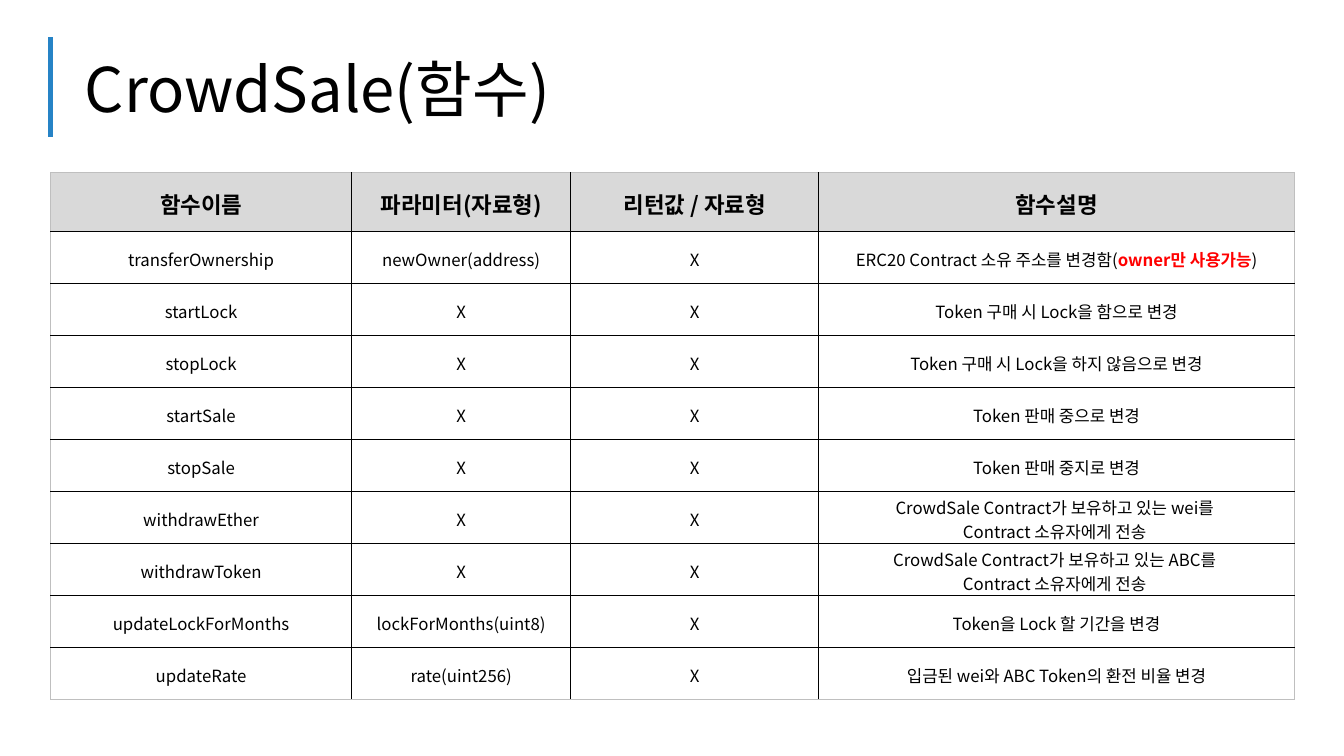
from dataclasses import dataclass

from lxml import etree
from pptx import Presentation
from pptx.dml.color import RGBColor
from pptx.enum import shapes, text
from pptx.oxml import ns
from pptx.util import Inches, Pt


@dataclass(frozen=True)
class Theme:
    """Colours, type sizes and line widths of the slide."""
    font: str = "Noto Sans CJK KR"
    ink: str = "000000"
    alert: str = "FF0000"
    accent: str = "2683C6"
    header: str = "D9D9D9"
    frame: str = "BFBFBF"
    title_size: int = 44
    header_size: int = 16
    body_size: int = 12
    accent_width: int = 3
    grid_width: float = 1
    frame_width: float = 0.5


THEME = Theme()
TITLE = "CrowdSale(함수)"
HEADERS = ["함수이름", "파라미터(자료형)", "리턴값 / 자료형", "함수설명"]
OWNER_ONLY = "owner만 사용가능"
FUNCTIONS = [
    ("transferOwnership", "newOwner(address)",
     [["ERC20 Contract 소유 주소를 변경함(", OWNER_ONLY, ")"]]),
    ("startLock", "X", [["Token 구매 시 Lock을 함으로 변경"]]),
    ("stopLock", "X", [["Token 구매 시 Lock을 하지 않음으로 변경"]]),
    ("startSale", "X", [["Token 판매 중으로 변경"]]),
    ("stopSale", "X", [["Token 판매 중지로 변경"]]),
    ("withdrawEther", "X",
     [["CrowdSale Contract가 보유하고 있는 wei를 "], ["Contract 소유자에게 전송 "]]),
    ("withdrawToken", "X",
     [["CrowdSale Contract가 보유하고 있는 ABC를 "], ["Contract 소유자에게 전송 "]]),
    ("updateLockForMonths", "lockForMonths(uint8)", [["Token을 Lock 할 기간을 변경"]]),
    ("updateRate", "rate(uint256)", [["입금된 wei와 ABC Token의 환전 비율 변경"]]),
]
COLUMN_WIDTHS = [2.99, 2.17, 2.46, 4.72]
HEADER_HEIGHT = 0.59
TABLE_HEIGHT = 5.23


def rgb(value):
    """Return the colour for a hex string."""
    return RGBColor.from_string(value)


def style_run(r, size, color=THEME.ink, bold=False):
    """Format a run in the theme font for Latin and Korean text."""
    r.font.size, r.font.bold = Pt(size), bold
    r.font.color.rgb = rgb(color)
    r.font.name = THEME.font
    latin = r.font._element.find(ns.qn("a:latin"))
    ea = etree.Element(ns.qn("a:ea"), typeface=THEME.font)
    latin.addnext(ea)


def add_accent(s):
    """Draw the vertical accent line beside the title."""
    line = s.shapes.add_connector(shapes.MSO_CONNECTOR.STRAIGHT, Inches(0.5),
                                  Inches(0.37), Inches(0.5), Inches(1.36))
    line.line.color.rgb = rgb(THEME.accent)
    line.line.width = Pt(THEME.accent_width)
    etree.SubElement(line._element.spPr, ns.qn("a:effectLst"))


def set_title(s):
    """Place and format the slide title."""
    sp = s.shapes.title
    sp.left, sp.top = Inches(0.74), Inches(0.45)
    sp.width, sp.height = Inches(8.24), Inches(0.84)
    tf = sp.text_frame
    tf.text = TITLE
    tf.auto_size = text.MSO_AUTO_SIZE.NONE
    tf.vertical_anchor = text.MSO_ANCHOR.MIDDLE
    p = tf.paragraphs[0]
    p.alignment = text.PP_ALIGN.LEFT
    style_run(p.runs[0], THEME.title_size)


def set_borders(cell, outer):
    """Line a cell, with the thin frame on its outer sides."""
    tcPr = cell._tc.get_or_add_tcPr()
    for i, side in enumerate(("lnL", "lnR", "lnT", "lnB")):
        color, width = ((THEME.frame, THEME.frame_width) if side in outer
                        else (THEME.ink, THEME.grid_width))
        ln = etree.Element(ns.qn(f"a:{side}"), w=str(Pt(width)))
        fill = etree.SubElement(ln, ns.qn("a:solidFill"))
        etree.SubElement(fill, ns.qn("a:srgbClr"), val=color)
        tcPr.insert(i, ln)


def fill_cell(cell, lines, is_header):
    """Write lines of runs into a cell and format them."""
    cell.vertical_anchor = text.MSO_ANCHOR.MIDDLE
    cell.margin_top, cell.margin_bottom = Inches(0.03), Inches(0)
    if is_header:
        cell.fill.solid()
        cell.fill.fore_color.rgb = rgb(THEME.header)
    else:
        cell.fill.background()
    tf = cell.text_frame
    for i, line in enumerate(lines):
        p = tf.add_paragraph() if i else tf.paragraphs[0]
        p.alignment = text.PP_ALIGN.CENTER
        for part in line:
            r = p.add_run()
            r.text = part
            alert = part == OWNER_ONLY
            style_run(r, THEME.header_size if is_header else THEME.body_size,
                      THEME.alert if alert else THEME.ink, is_header or alert)


def add_function_table(s):
    """Build the table of contract functions."""
    rows = [[[[h]] for h in HEADERS]]
    rows += [[[[name]], [[param]], [["X"]], about] for name, param, about in FUNCTIONS]
    last_row, last_col = len(rows) - 1, len(HEADERS) - 1
    table = s.shapes.add_table(len(rows), len(HEADERS), Inches(0.5), Inches(1.71),
                               Inches(sum(COLUMN_WIDTHS)), Inches(TABLE_HEIGHT)).table
    for column, width in zip(table.columns, COLUMN_WIDTHS):
        column.width = Inches(width)
    body_height = (TABLE_HEIGHT - HEADER_HEIGHT) / len(FUNCTIONS)
    for i, row in enumerate(rows):
        table.rows[i].height = Inches(body_height if i else HEADER_HEIGHT)
        for j, lines in enumerate(row):
            cell = table.cell(i, j)
            fill_cell(cell, lines, i == 0)
            edges = {"lnL": j == 0, "lnR": j == last_col,
                     "lnT": i == 0, "lnB": i == last_row}
            set_borders(cell, [side for side, is_edge in edges.items() if is_edge])


def main():
    """Build and save the slide."""
    prs = Presentation()
    prs.slide_width, prs.slide_height = Inches(13.33), Inches(7.5)
    s = prs.slides.add_slide(prs.slide_layouts[5])
    add_accent(s)
    set_title(s)
    add_function_table(s)
    prs.save("out.pptx")


if __name__ == "__main__":
    main()
